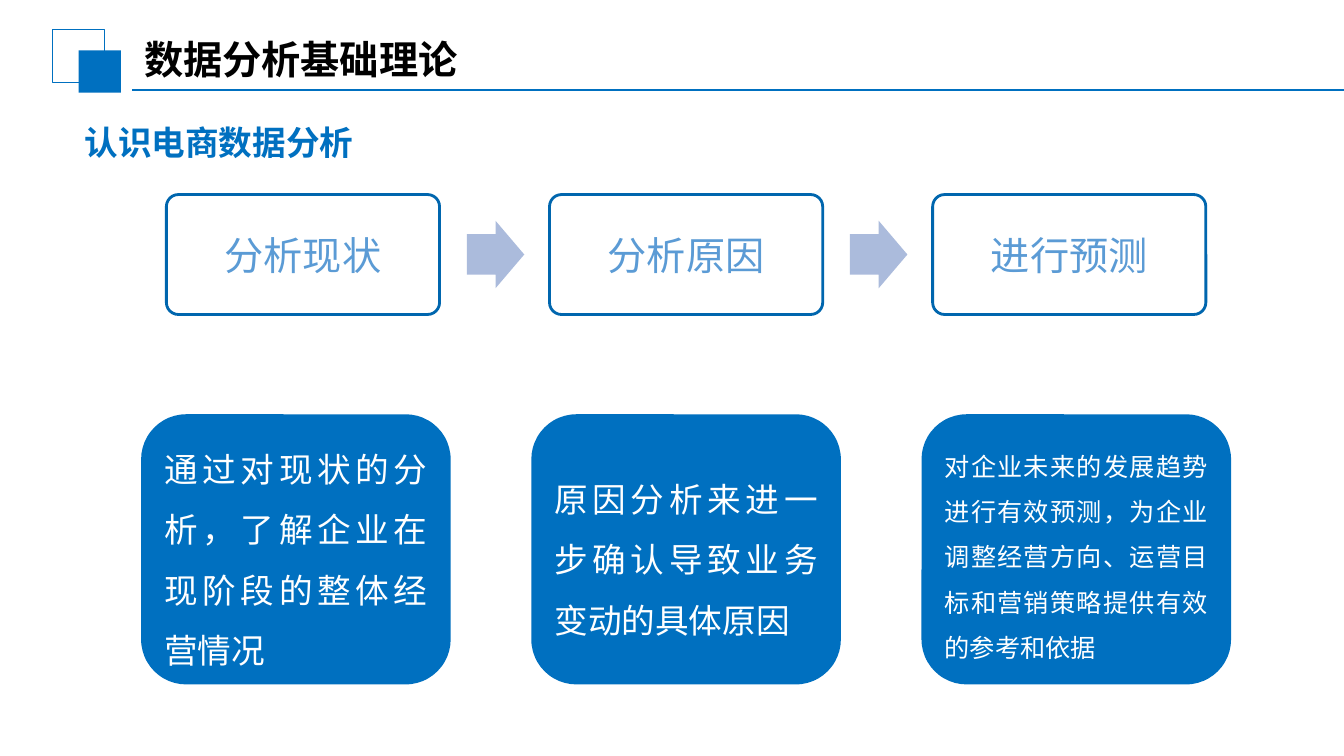
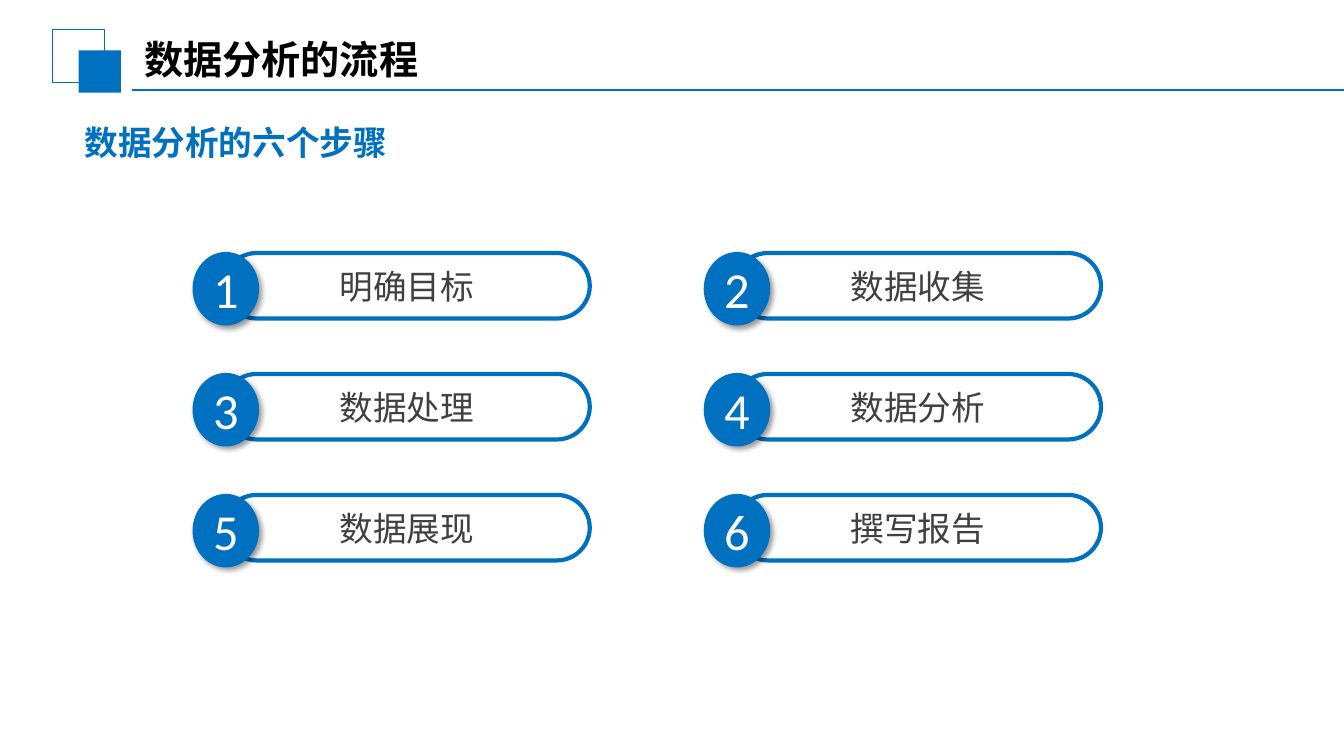
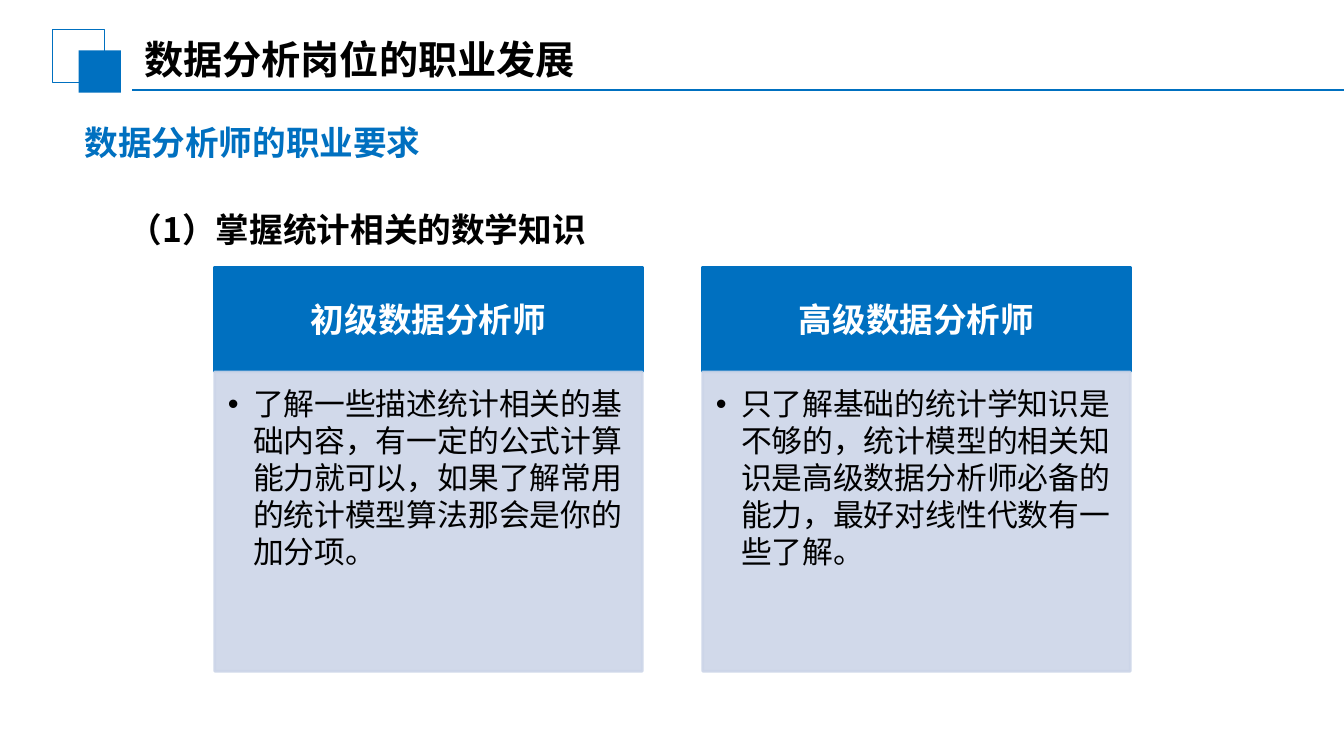
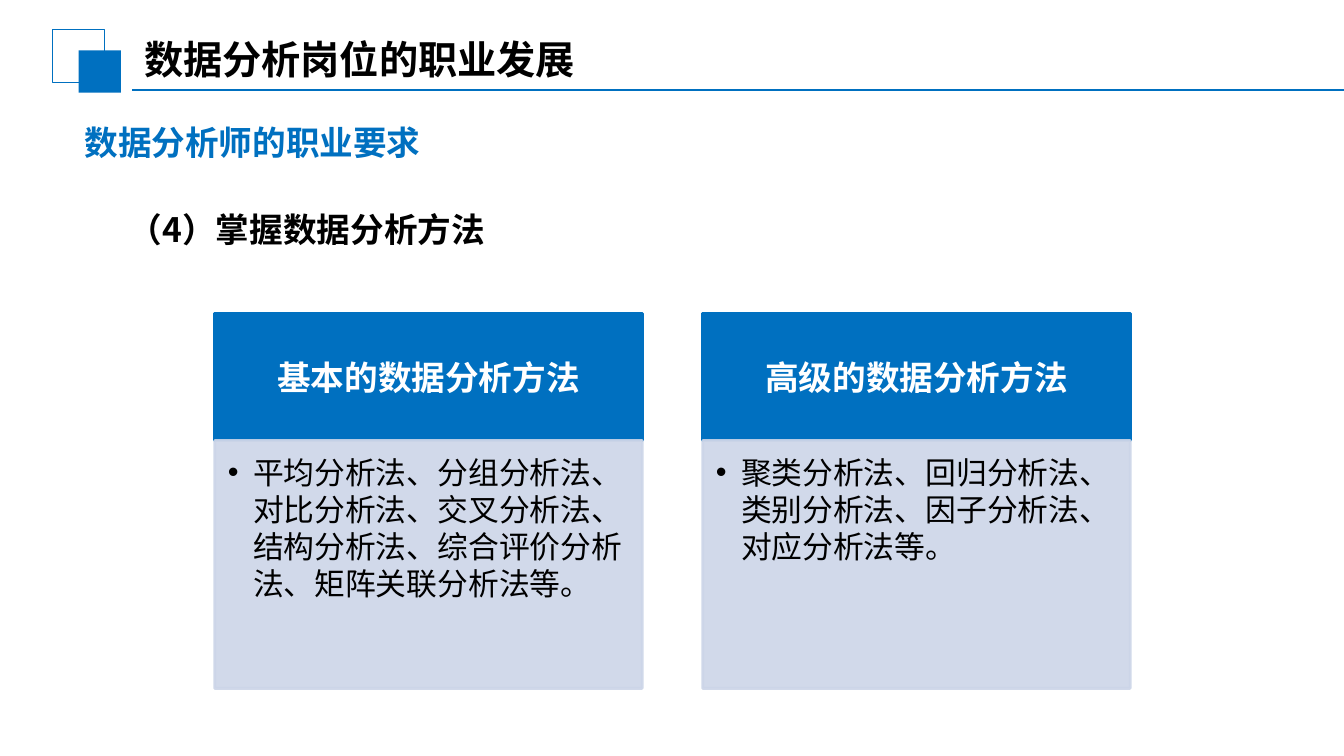
"""Build four slides introducing e-commerce data analysis."""
import pptx
import pptx.dml.color
import pptx.enum.shapes
import pptx.enum.text
import pptx.oxml.ns
import pptx.util
from lxml import etree

Inches = pptx.util.Inches
RGBColor = pptx.dml.color.RGBColor
SHAPE = pptx.enum.shapes.MSO_SHAPE
ALIGN = pptx.enum.text.PP_ALIGN
ANCHOR = pptx.enum.text.MSO_ANCHOR
qn = pptx.oxml.ns.qn

BLUE = RGBColor(0x00, 0x70, 0xC0)
EDGE_BLUE = RGBColor(0x00, 0x66, 0xAE)
SOFT_BLUE = RGBColor(0x5B, 0x9B, 0xD5)
ARROW_BLUE = RGBColor(0xAB, 0xBB, 0xDC)
PALE_BLUE = RGBColor(0xCC, 0xD5, 0xE8)
DARK_GRAY = RGBColor(0x40, 0x40, 0x40)
BLACK = RGBColor(0x00, 0x00, 0x00)
WHITE = RGBColor(0xFF, 0xFF, 0xFF)

CJK_FONT = "Noto Sans CJK SC"
LATIN_FONT = "Calibri"
DEFAULT_INSETS = (0.1, 0.05, 0.1, 0.05)


def add_element(parent, tag, **attributes):
    return etree.SubElement(parent, qn(tag), attributes)


def write_text(shape, text, size, color, bold=False, font=CJK_FONT, align=ALIGN.LEFT,
               anchor=ANCHOR.MIDDLE, insets=DEFAULT_INSETS, spacing=None, indent=0, bullet=False):
    frame = shape.text_frame
    frame.text = text
    frame.word_wrap = True
    frame.vertical_anchor = anchor
    frame.margin_left, frame.margin_top, frame.margin_right, frame.margin_bottom = map(Inches, insets)
    paragraph = frame.paragraphs[0]
    paragraph.alignment = align
    if spacing:
        paragraph.line_spacing = spacing
    properties = paragraph._p.get_or_add_pPr()
    if indent:
        properties.set("marL", str(Inches(max(0, -indent))))
        properties.set("indent", str(Inches(indent)))
    if bullet:
        add_element(properties, "a:buFont", typeface="Arial")
        add_element(properties, "a:buChar", char="•")
    run = paragraph.runs[0]
    run.font.size = pptx.util.Pt(size)
    run.font.bold = bold
    run.font.color.rgb = color
    run.font.name = font
    add_element(run._r.get_or_add_rPr(), "a:ea", typeface=CJK_FONT)


def add_box(slide, kind, left, top, width, height, fill=None, line=None, line_width=1, adjustments=()):
    shape = slide.shapes.add_shape(kind, Inches(left), Inches(top), Inches(width), Inches(height))
    shape.shadow.inherit = False
    if fill is None:
        shape.fill.background()
    else:
        shape.fill.solid()
        shape.fill.fore_color.rgb = fill
    if line is None:
        shape.line.fill.background()
    else:
        shape.line.color.rgb = line
        shape.line.width = pptx.util.Pt(line_width)
    for index, value in enumerate(adjustments):
        shape.adjustments[index] = value
    return shape


def add_label(slide, left, top, width, height, text, size, color, **style):
    box = slide.shapes.add_textbox(Inches(left), Inches(top), Inches(width), Inches(height))
    write_text(box, text, size, color, bold=True, **style)


def add_content_slide(presentation, title, subtitle):
    slide = presentation.slides.add_slide(presentation.slide_layouts[6])
    add_box(slide, SHAPE.RECTANGLE, 0.52, 0.29, 0.52, 0.53, line=BLUE, line_width=0.75)
    add_box(slide, SHAPE.RECTANGLE, 0.78, 0.5, 0.42, 0.42, fill=BLUE)
    rule = slide.shapes.add_connector(pptx.enum.shapes.MSO_CONNECTOR.STRAIGHT, Inches(1.31),
                                      Inches(0.89), presentation.slide_width, Inches(0.89))
    rule.line.color.rgb = BLUE
    rule.line.width = pptx.util.Pt(1.25)
    add_element(rule._element.spPr, "a:effectLst")
    add_label(slide, 1.3, 0.29, 5.29, 0.58, title, 28, BLACK, font=LATIN_FONT,
              insets=(0.13, 0.07, 0.13, 0.07))
    add_label(slide, 0.41, 1.16, 5.73, 0.5, subtitle, 24, BLUE, anchor=ANCHOR.TOP, indent=0.33)
    return slide


def add_purposes(slide, purposes):
    for index, (name, description, size) in enumerate(purposes):
        left = 1.65 + 3.8 * index
        box = add_box(slide, SHAPE.ROUNDED_RECTANGLE, left, 1.93, 2.71, 1.19, WHITE, EDGE_BLUE, 2, [0.1])
        write_text(box, name, 28, SOFT_BLUE, align=ALIGN.CENTER)
        if index < len(purposes) - 1:
            add_box(slide, SHAPE.RIGHT_ARROW, left + 2.98, 2.19, 0.57, 0.67, ARROW_BLUE,
                    adjustments=[0.6, 0.5])
        panel = add_box(slide, SHAPE.ROUNDED_RECTANGLE, 1.4 + 3.87 * index, 4.11, 3.07, 2.68, BLUE)
        write_text(panel, description, size, WHITE, align=ALIGN.JUSTIFY, spacing=1.5)


def add_shadow(shape):
    effects = shape._element.spPr.find(qn("a:effectLst"))
    shadow = add_element(effects, "a:outerShdw", blurRad=str(pptx.util.Pt(4)),
                         dist=str(pptx.util.Pt(3)), dir="2700000", algn="tl", rotWithShape="0")
    color = add_element(shadow, "a:srgbClr", val=str(BLACK))
    add_element(color, "a:alpha", val="40000")


def add_steps(slide, steps):
    for index, name in enumerate(steps):
        row, column = divmod(index, 2)
        left, top = 2.22 + 5.07 * column, 2.51 + 1.2 * row
        pill = add_box(slide, SHAPE.ROUNDED_RECTANGLE, left, top, 3.63, 0.65, None, BLUE, 3, [0.5])
        write_text(pill, name, 24, DARK_GRAY, align=ALIGN.CENTER)
        badge = add_box(slide, SHAPE.OVAL, left - 0.31, top - 0.01, 0.66, 0.73, BLUE)
        add_shadow(badge)
        write_text(badge, str(index + 1), 36, WHITE, font=LATIN_FONT, align=ALIGN.CENTER)


def make_translucent(shape, percent):
    for color in shape._element.spPr.iter(qn("a:srgbClr")):
        add_element(color, "a:alpha", val=str(percent * 1000))


def add_requirement(slide, heading, cards, top, header_height, body_height):
    add_label(slide, 0.69, 1.82, 11.96, 0.71, heading, 24, BLACK, align=ALIGN.JUSTIFY,
              anchor=ANCHOR.TOP, spacing=1.5, indent=0.49)
    for index, (name, description) in enumerate(cards):
        left = 2.13 + 4.84 * index
        header = add_box(slide, SHAPE.RECTANGLE, left, top, 4.24, header_height, BLUE, BLUE, 2)
        write_text(header, name, 24, WHITE, bold=True, align=ALIGN.CENTER, insets=(0.19, 0.11, 0.19, 0.11))
        body = add_box(slide, SHAPE.RECTANGLE, left, top + header_height, 4.24, body_height,
                       PALE_BLUE, PALE_BLUE, 2)
        make_translucent(body, 90)
        write_text(body, description, 22, BLACK, anchor=ANCHOR.TOP, insets=(0.13, 0.13, 0.17, 0.19),
                   indent=-0.25, bullet=True)


def main():
    presentation = pptx.Presentation()
    presentation.slide_width = Inches(13.33)
    presentation.slide_height = Inches(7.5)

    slide = add_content_slide(presentation, "数据分析基础理论", "认识电商数据分析")
    add_purposes(slide, [
        ("分析现状", "通过对现状的分析，了解企业在现阶段的整体经营情况", 24),
        ("分析原因", "原因分析来进一步确认导致业务变动的具体原因", 24),
        ("进行预测", "对企业未来的发展趋势进行有效预测，为企业调整经营方向、运营目标和营销策略提供有效的参考和依据", 18),
    ])

    slide = add_content_slide(presentation, "数据分析的流程", "数据分析的六个步骤")
    add_steps(slide, ["明确目标", "数据收集", "数据处理", "数据分析", "数据展现", "撰写报告"])

    career_title, career_subtitle = "数据分析岗位的职业发展", "数据分析师的职业要求"
    slide = add_content_slide(presentation, career_title, career_subtitle)
    add_requirement(slide, "（1）掌握统计相关的数学知识", [
        ("初级数据分析师", "了解一些描述统计相关的基础内容，有一定的公式计算能力就可以，如果了解常用的统计模型算法那会是你的加分项。"),
        ("高级数据分析师", "只了解基础的统计学知识是不够的，统计模型的相关知识是高级数据分析师必备的能力，最好对线性代数有一些了解。"),
    ], 2.65, 1.04, 2.97)

    slide = add_content_slide(presentation, career_title, career_subtitle)
    add_requirement(slide, "（4）掌握数据分析方法", [
        ("基本的数据分析方法", "平均分析法、分组分析法、对比分析法、交叉分析法、结构分析法、综合评价分析法、矩阵关联分析法等。"),
        ("高级的数据分析方法", "聚类分析法、回归分析法、类别分析法、因子分析法、对应分析法等。"),
    ], 3.11, 1.26, 2.46)

    presentation.save("out.pptx")


if __name__ == "__main__":
    main()
